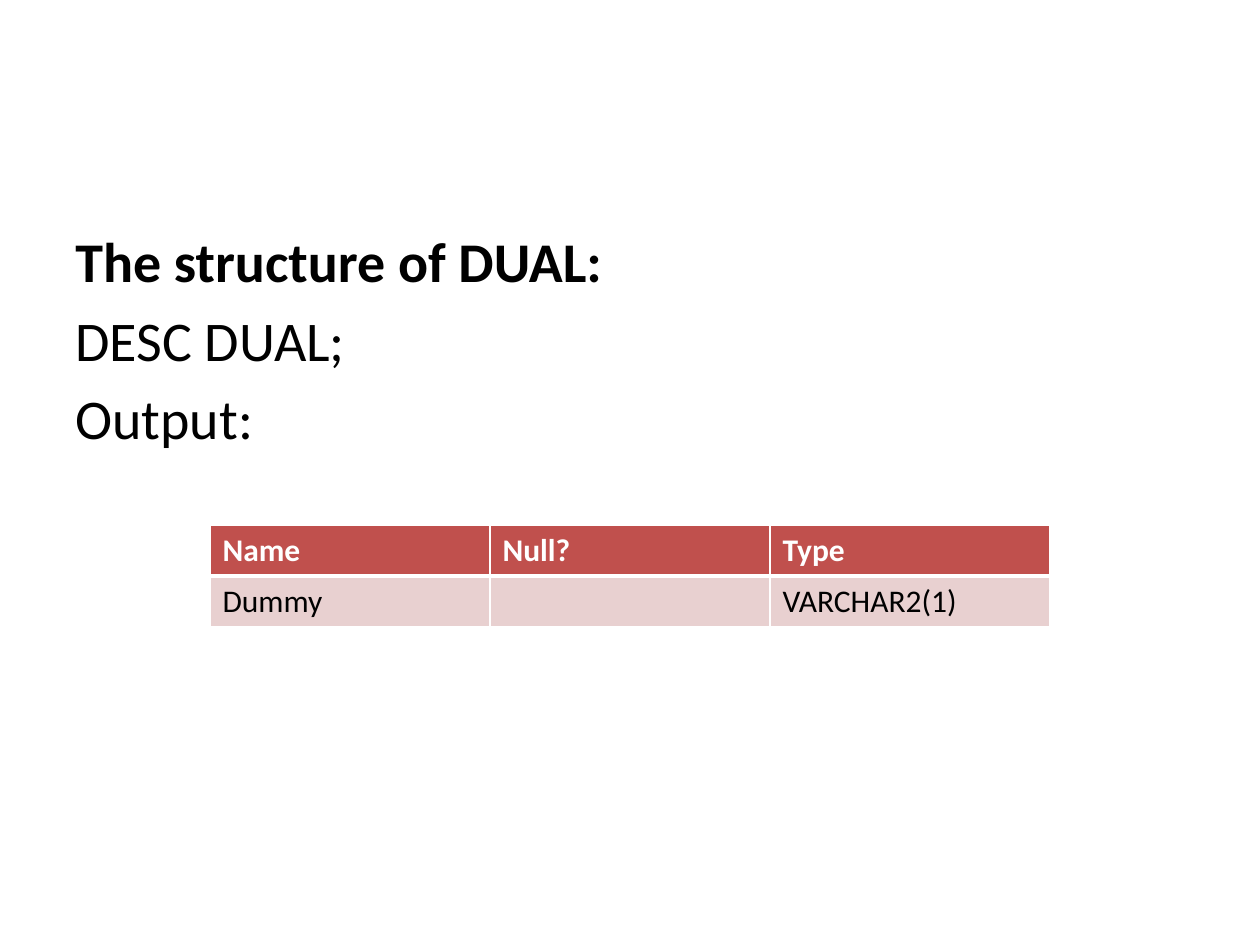
from lxml import etree
from pptx import Presentation, util as u
from pptx.dml.color import RGBColor
from pptx.oxml.ns import qn

COLORS = {"ink": "000000", "white": "FFFFFF", "header": "C0504D", "band": "E8D0D0"}


class DualSlide:
    """Style and current slide, measured on a grid of 12 columns by 18 rows."""
    FONT = "Calibri"
    COLUMNS, ROWS = 12, 18

    def __init__(self, prs):
        self.col = prs.slide_width / self.COLUMNS
        self.row = prs.slide_height / self.ROWS
        self.slide = prs.slides.add_slide(prs.slide_layouts[6])

    def box(self, left, top, width, height):
        return (round(left * self.col), round(top * self.row),
                round(width * self.col), round(height * self.row))

    def style(self, paragraph, size, color, bold=False):
        font = paragraph.font
        font.name, font.size, font.bold = self.FONT, u.Pt(size), bold
        font.color.rgb = RGBColor.from_string(COLORS[color])

    def text(self, lines, area, size):
        frame = self.slide.shapes.add_textbox(*self.box(*area)).text_frame
        frame.word_wrap = True
        for i, (line, bold) in enumerate(lines):
            paragraph = frame.add_paragraph() if i else frame.paragraphs[0]
            paragraph.text = line
            if i:
                paragraph.space_before = u.Pt(size * 0.2)
            props = paragraph._p.get_or_add_pPr()
            props.set("marL", str(u.Inches(0.38)))
            props.set("indent", str(-u.Inches(0.38)))
            etree.SubElement(props, qn("a:buNone"))
            self.style(paragraph, size, "ink", bold)

    def borders(self, cell, **widths):
        props = cell._tc.get_or_add_tcPr()
        for i, side in enumerate(("L", "R", "T", "B")):
            line = etree.Element(qn(f"a:ln{side}"), w=str(u.Pt(widths.get(side, 1))))
            fill = etree.SubElement(line, qn("a:solidFill"))
            etree.SubElement(fill, qn("a:srgbClr"), val=COLORS["white"])
            props.insert(i, line)

    def table(self, records, area, size):
        table = self.slide.shapes.add_table(
            len(records), len(records[0]), *self.box(*area)).table
        for r, record in enumerate(records):
            header = r == 0
            for c, value in enumerate(record):
                cell = table.cell(r, c)
                cell.text = value
                cell.fill.solid()
                cell.fill.fore_color.rgb = RGBColor.from_string(
                    COLORS["header" if header else "band"])
                self.style(cell.text_frame.paragraphs[0], size,
                           "white" if header else "ink", header)
                # A thick rule parts the header from the data
                self.borders(cell, **({"B": 3} if header else {"T": 3}))


def main():
    prs = Presentation()
    prs.slide_width, prs.slide_height = u.Inches(10), u.Inches(7.5)
    dual = DualSlide(prs)

    # Command that describes the table
    dual.text([("The structure of DUAL:", True), ("DESC DUAL;", False),
               ("Output:", False)], (0.6, 4.2, 10.8, 11.88), size=32)

    # Output of the command
    dual.table([("Name", "Null?", "Type"), ("Dummy", "", "VARCHAR2(1)")],
               (2, 10, 8, 1.94), size=18)

    prs.save("out.pptx")


if __name__ == "__main__":
    main()
